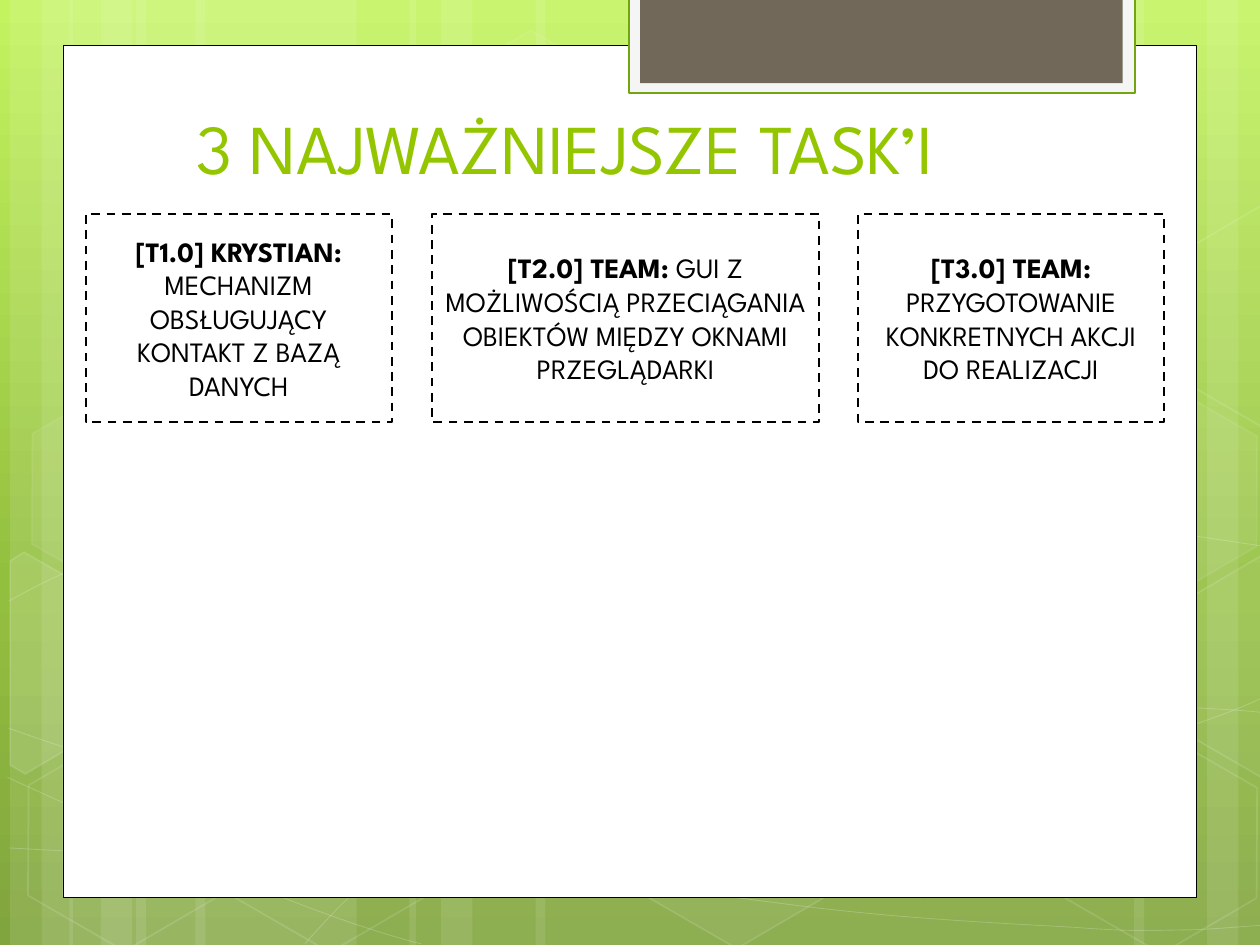
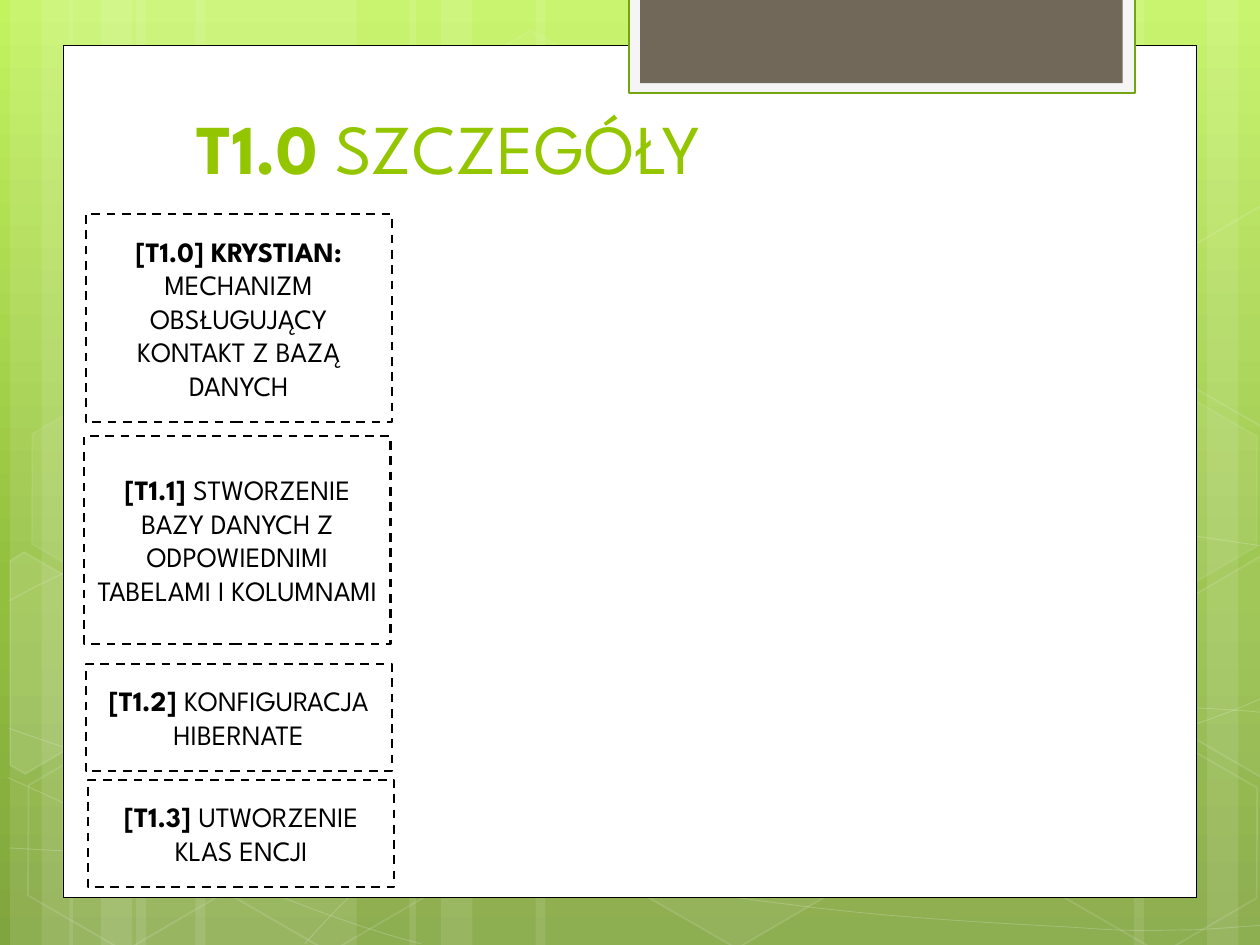
from copy import deepcopy
from math import cos, radians, sin
from lxml.etree import SubElement
from pptx import Presentation
from pptx.dml.color import RGBColor
from pptx.enum.dml import MSO_LINE
from pptx.enum.shapes import MSO_SHAPE as Shape
from pptx.enum.text import MSO_ANCHOR as Anchor, MSO_AUTO_SIZE as AutoSize, PP_ALIGN as Align
from pptx.oxml.ns import qn
from pptx.util import Inches, Pt

WHITE = RGBColor(0xFF, 0xFF, 0xFF)
BLACK = RGBColor(0, 0, 0)
LIME = RGBColor(0x94, 0xC6, 0x00)
TAB_EDGE = RGBColor(0x74, 0xA5, 0x10)
TAB_PAPER = RGBColor(0xF5, 0xF5, 0xF5)
TAB_BROWN = RGBColor(0x71, 0x68, 0x5A)
SKY = [(0, RGBColor(0xC3, 0xF3, 0x5F)),
       (0.62, RGBColor(0x93, 0xBF, 0x3F)),
       (1, RGBColor(0x81, 0xA5, 0x3E))]
FONT = "League Spartan"

STRIPES = [(1.08, 1.75), (0.08, 0.5), (0.33, 0.83), (1.55, 1.75),
           (0.55, 0.5), (0.8, 0.83), (7.33, 1.75), (9.58, 0.5),
           (9, 0.83), (4.25, 3.08), (3.25, 0.5), (3.5, 0.83)]

WAVES = [
    [(0.07, 6.73), (0.61, 6.76), (1.15, 6.79), (1.9, 6.78),
     (2.65, 6.77), (3.58, 6.75), (4.58, 6.65),
     (5.58, 6.55), (7, 6.36), (7.92, 6.17),
     (8.83, 5.98), (9.77, 5.68), (10.07, 5.51)],
    [(0.07, 4.77), (0.36, 4.61), (0.65, 4.46), (1.21, 4.31),
     (1.78, 4.16), (2.59, 3.94), (3.47, 3.87),
     (4.36, 3.8), (5.44, 3.79), (6.54, 3.87),
     (7.64, 3.95), (9.47, 4.26), (10.07, 4.34)],
    [(0.06, 6.17), (1.27, 6.72), (2.47, 7.27), (3.34, 7.49)],
    [(0.07, 5.78), (0.38, 5.89), (0.7, 6), (1.28, 6.16),
     (1.86, 6.31), (2.73, 6.56), (3.57, 6.73),
     (4.4, 6.9), (5.45, 7.08), (6.28, 7.18),
     (7.11, 7.29), (8, 7.33), (8.53, 7.36),
     (9.05, 7.4), (9.19, 7.38), (9.45, 7.38),
     (9.71, 7.37), (9.89, 7.35), (10.07, 7.34)],
    [(2.42, 7.49), (2.6, 7.29), (2.78, 7.09), (3.02, 6.91),
     (3.26, 6.73), (3.6, 6.53), (3.88, 6.39),
     (4.16, 6.25), (4.33, 6.19), (4.7, 6.09),
     (5.06, 5.99), (5.73, 5.85), (6.08, 5.78),
     (6.44, 5.71), (6.49, 5.71), (6.8, 5.69),
     (7.11, 5.66), (7.6, 5.63), (7.94, 5.62),
     (8.29, 5.61), (8.86, 5.62), (8.86, 5.62),
     (9.08, 5.62), (9.31, 5.62), (9.53, 5.62),
     (9.71, 5.63), (9.88, 5.64), (9.97, 5.65),
     (10.06, 5.66), (10.03, 5.65), (10.06, 5.66)],
]

TILT = 30
HEXAGONS = [(3.34, 0.36, 4, 8), (4.97, 5.89, 6, 12), (0.11, 5.91, 0, 12),
            (0.14, 3.12, 7, 8), (1.74, 5.92, 0, 12), (7.53, 4.53, 10, 12),
            (8.34, 5.93, 0, 12), (8.34, 3.14, 7, 8)]
CUT_HEXAGONS = [
    ((0.36, 5.35), 10,
     [(0.08, 4.45), (0.19, 4.38), (0.96, 4.82), (0.95, 5.7), (0.2, 6.14), (0.08, 6.07)]),
    ((9.85, 5.2), 4,
     [(9.26, 4.85), (10.01, 4.41), (10.09, 4.46), (10.09, 6.13), (10.02, 6.17), (9.26, 5.73)]),
    ((9.85, 2.41), 0,
     [(9.26, 2.07), (10.01, 1.63), (10.1, 1.68), (10.09, 3.35), (10.02, 3.39), (9.26, 2.95)]),
]

TOP, WIDTH, TALL, SHORT = 1.7, 2.43, 1.65, 0.85
DATABASE_TASK = (0.68, TOP, WIDTH, TALL, "[T1.0] KRYSTIAN: ",
                 "MECHANIZM OBSŁUGUJĄCY KONTAKT Z BAZĄ DANYCH")
SLIDES = [
    ([("3 NAJWAŻNIEJSZE TASK’I", False)],
     [DATABASE_TASK,
      (3.43, TOP, 3.07, TALL, "[T2.0] TEAM: ",
       "GUI Z MOŻLIWOŚCIĄ PRZECIĄGANIA OBIEKTÓW MIĘDZY OKNAMI PRZEGLĄDARKI"),
      (6.81, TOP, WIDTH, TALL, "[T3.0] TEAM: ",
       "PRZYGOTOWANIE KONKRETNYCH AKCJI DO REALIZACJI")]),
    ([("T1.0", True), (" SZCZEGÓŁY", False)],
     [DATABASE_TASK,
      (0.67, 3.46, WIDTH, TALL, "[T1.1] ",
       "STWORZENIE BAZY DANYCH Z ODPOWIEDNIMI TABELAMI I KOLUMNAMI"),
      (0.68, 5.27, WIDTH, SHORT, "[T1.2] ", "KONFIGURACJA HIBERNATE"),
      (0.7, 6.19, WIDTH, SHORT, "[T1.3] ", "UTWORZENIE KLAS ENCJI")]),
]


def paint(shape, fill=WHITE, opacity=100, line=None, weight=1, line_opacity=100):
    shape.shadow.inherit = False
    if opacity:
        shape.fill.solid()
        shape.fill.fore_color.rgb = fill
    else:
        shape.fill.background()
    if line is None:
        shape.line.fill.background()
    else:
        shape.line.color.rgb = line
        shape.line.width = Pt(weight)
    for color in shape.element.spPr.iter(qn("a:srgbClr")):
        in_line = color.getparent().getparent().tag == qn("a:ln")
        share = line_opacity if in_line else opacity
        if share < 100:
            SubElement(color, qn("a:alpha")).set("val", str(share * 1000))


def write(frame, runs, size, color, align, anchor):
    frame.word_wrap = True
    frame.auto_size = AutoSize.NONE
    frame.vertical_anchor = anchor
    paragraph = frame.paragraphs[0]
    paragraph.alignment = align
    for text, bold in runs:
        run = paragraph.add_run()
        run.text = text
        run.font.name = FONT
        run.font.size = Pt(size)
        run.font.bold = bold
        run.font.color.rgb = color


deck = Presentation()
deck.slide_width, deck.slide_height = Inches(10), Inches(7.5)
layout = deck.slide_layouts[5]
for footer in list(layout.placeholders)[1:]:
    footer.element.getparent().remove(footer.element)
slides = [deck.slides.add_slide(layout) for _ in SLIDES]

sky = layout.background.fill
sky.gradient()
sky.gradient_angle = 270
stops = next(layout.element.iter(qn("a:gsLst")))
stops.insert(1, deepcopy(stops[0]))
for stop, (position, color) in zip(sky.gradient_stops, SKY):
    stop.position = position
    stop.color.rgb = color

scenery = slides[0].shapes.add_group_shape()
for left, width in STRIPES:
    stripe = scenery.shapes.add_shape(Shape.RECTANGLE, Inches(left), 0, Inches(width), Inches(7.5))
    paint(stripe, opacity=10)

for wave in WAVES:
    start, *bends = [(Inches(x), Inches(y)) for x, y in wave]
    outline = scenery.shapes.build_freeform(*start)
    outline.add_line_segments(bends, close=False)
    curve = outline.convert_to_shape()
    legs = list(curve.element.iter(qn("a:lnTo")))
    for i in range(0, len(legs), 3):
        bezier = SubElement(legs[i].getparent(), qn("a:cubicBezTo"))
        for leg in legs[i:i + 3]:
            bezier.append(leg[0])
            leg.getparent().remove(leg)
    paint(curve, opacity=0, line=WHITE, weight=0.5, line_opacity=20)

for left, top, opacity, line_opacity in HEXAGONS:
    hexagon = scenery.shapes.add_shape(Shape.HEXAGON, Inches(left), Inches(top),
                                       Inches(1.75), Inches(1.52))
    hexagon.adjustments[0] = 0.285
    hexagon.rotation = TILT
    paint(hexagon, opacity=opacity, line=WHITE, line_opacity=line_opacity)

c, s = cos(radians(TILT)), sin(radians(TILT))
for (cx, cy), opacity, corners in CUT_HEXAGONS:
    start, *others = [(Inches(cx + (x - cx) * c + (y - cy) * s),
                       Inches(cy - (x - cx) * s + (y - cy) * c)) for x, y in corners]
    outline = scenery.shapes.build_freeform(*start)
    outline.add_line_segments(others)
    cut_hexagon = outline.convert_to_shape()
    cut_hexagon.rotation = TILT
    paint(cut_hexagon, opacity=opacity, line=WHITE, line_opacity=12)

backdrop = [scenery]
for box, fill, line, weight in [((0.5, 0.36, 9, 6.76), WHITE, BLACK, 0.5),
                                ((4.99, -0.02, 4.02, 0.76), TAB_PAPER, TAB_EDGE, 1.25),
                                ((5.08, -0.02, 3.83, 0.68), TAB_BROWN, None, 0)]:
    panel = slides[0].shapes.add_shape(Shape.RECTANGLE, *map(Inches, box))
    paint(panel, fill, line=line, weight=weight)
    backdrop.append(panel)

layout_title = layout.placeholders[0].element
for part in backdrop:
    layout_title.addprevious(part.element)

for slide, (heading, tasks) in zip(slides, SLIDES):
    title = slide.shapes.title
    title.left, title.top, title.width, title.height = map(Inches, (1.46, 0.76, 7.68, 0.79))
    write(title.text_frame, heading, size=40, color=LIME, align=Align.LEFT, anchor=Anchor.BOTTOM)

    for *box, label, task in tasks:
        card = slide.shapes.add_shape(Shape.RECTANGLE, *map(Inches, box))
        paint(card, line=BLACK, weight=1.25)
        card.line.dash_style = MSO_LINE.DASH
        write(card.text_frame, [(label, True), (task, False)], size=16, color=BLACK,
              align=Align.CENTER, anchor=Anchor.MIDDLE)

deck.save("out.pptx")
